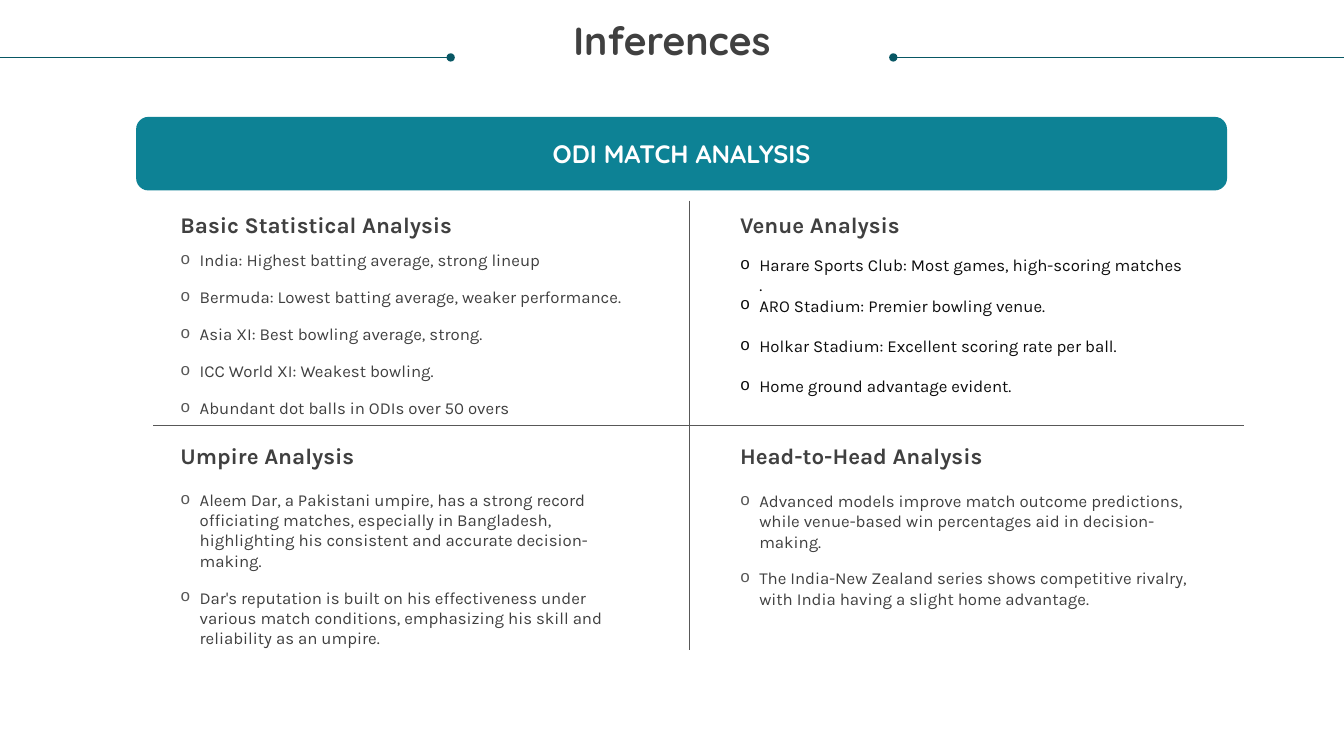
from lxml import etree
from pptx import Presentation
from pptx.dml.color import RGBColor
from pptx.enum.shapes import MSO_CONNECTOR, MSO_SHAPE
from pptx.enum.text import MSO_ANCHOR, MSO_AUTO_SIZE, PP_ALIGN
from pptx.oxml.ns import qn
from pptx.util import Inches, Pt

STRAIGHT = MSO_CONNECTOR.STRAIGHT
ROUNDED = MSO_SHAPE.ROUNDED_RECTANGLE
CENTER, LEFT = PP_ALIGN.CENTER, PP_ALIGN.LEFT
MIDDLE, TOP = MSO_ANCHOR.MIDDLE, MSO_ANCHOR.TOP
FIT_SHAPE = MSO_AUTO_SIZE.SHAPE_TO_FIT_TEXT

THEME = {
    "title": {"name": "Quicksand", "size": Pt(28), "bold": True, "color": "404040"},
    "banner": {"name": "Quicksand", "size": Pt(18), "bold": True, "color": "FFFFFF"},
    "heading": {"name": "Karla", "size": Pt(16), "bold": True, "color": "404040"},
    "body": {"name": "Karla", "size": Pt(12), "bold": False, "color": "404040"},
    "venue": {"name": "Karla", "size": Pt(12), "bold": False, "color": "0D0D0D"},
    "banner_fill": "0D8295",
    "title_rule": "085764",
    "divider": "585858",
    "bullet": "585858",
}

# Grid in inches
SLIDE_WIDTH, SLIDE_HEIGHT = 13.33, 7.5
COLUMNS = (1.79, 7.34)
HEADING_ROWS = (2.09, 4.39)
COLUMN_WIDTH, HEADING_HEIGHT = 4.55, 0.27
RULE_TOP, RULE_LENGTH = 0.57, 4.47
BULLET_INDENT = Inches(0.19)

presentation = Presentation()
presentation.slide_width = Inches(SLIDE_WIDTH)
presentation.slide_height = Inches(SLIDE_HEIGHT)
slide = presentation.slides.add_slide(presentation.slide_layouts[6])


def write_text(shape, entries, style, align=LEFT, anchor=TOP):
    """Fill a shape with (text, space before in points) paragraphs."""
    frame = shape.text_frame
    frame_format = {"word_wrap": True, "vertical_anchor": anchor, "margin_left": 0,
                    "margin_right": 0, "margin_top": 0, "margin_bottom": 0}
    for name, value in frame_format.items():
        setattr(frame, name, value)
    for index, (text, space_before) in enumerate(entries):
        paragraph = frame.paragraphs[0] if index == 0 else frame.add_paragraph()
        paragraph.text = text
        paragraph.alignment = align
        paragraph.space_before = Pt(space_before)
        for run in paragraph.runs:
            for name, value in THEME[style].items():
                if name == "color":
                    run.font.color.rgb = RGBColor.from_string(value)
                else:
                    setattr(run.font, name, value)
    return frame


def add_rule(start, end, color, dot=False):
    """Draw a thin line, with a round dot at its end if asked."""
    points = [Inches(length) for length in (*start, *end)]
    connector = slide.shapes.add_connector(STRAIGHT, *points)
    connector.line.width = Pt(0.5)
    connector.line.color.rgb = RGBColor.from_string(THEME[color])
    if dot:
        outline = connector.line._get_or_add_ln()
        etree.SubElement(outline, qn("a:tailEnd"), type="oval")
    etree.SubElement(connector._element.spPr, qn("a:effectLst"))


# Title between two dotted rules
for edge, direction in ((0, 1), (SLIDE_WIDTH, -1)):
    dot_end = edge + direction * RULE_LENGTH
    add_rule((edge, RULE_TOP), (dot_end, RULE_TOP), "title_rule", dot=True)
title = slide.shapes.add_textbox(Inches(0.25), Inches(0.21), Inches(12.83), Inches(0.73))
title_frame = write_text(title, [("Inferences", 0)], "title", CENTER)
title_frame.paragraphs[0].line_spacing = 0.9

# Banner
banner = slide.shapes.add_shape(ROUNDED, Inches(1.35), Inches(1.16), Inches(10.82), Inches(0.73))
banner.shadow.inherit = False
banner.fill.solid()
banner.fill.fore_color.rgb = RGBColor.from_string(THEME["banner_fill"])
banner.line.fill.background()
write_text(banner, [("ODI MATCH ANALYSIS", 0)], "banner", CENTER, MIDDLE)

# Cross dividing the four quadrants
add_rule((1.52, 4.22), (12.34, 4.22), "divider")
add_rule((6.84, 1.99), (6.84, 6.45), "divider")

# Quadrants: column, row, heading, list top, list height, style, (text, space before)
QUADRANTS = [
    (0, 0, "Basic Statistical Analysis", 2.48, 1.68, "body", [
        ("India: Highest batting average, strong lineup", 12),
        ("Bermuda: Lowest batting average, weaker performance.", 12),
        ("Asia XI: Best bowling average, strong.", 12),
        ("ICC World XI: Weakest bowling.", 12),
        ("Abundant dot balls in ODIs over 50 overs", 12),
    ]),
    (1, 0, "Venue Analysis", 2.53, 1.41, "venue", [
        ("Harare Sports Club: Most games, high-scoring matches\v.", 15),
        ("ARO Stadium: Premier bowling venue.", 0),
        ("Holkar Stadium: Excellent scoring rate per ball.", 14.4),
        ("Home ground advantage evident.", 14.4),
    ]),
    (0, 1, "Umpire Analysis", 4.86, 1.38, "body", [
        ("Aleem Dar, a Pakistani umpire, has a strong record officiating matches, "
         "especially in Bangladesh, highlighting his consistent and accurate "
         "decision-making.", 12),
        ("Dar's reputation is built on his effectiveness under various match "
         "conditions, emphasizing his skill and reliability as an umpire.", 12),
    ]),
    (1, 1, "Head-to-Head Analysis", 4.87, 0.98, "body", [
        ("Advanced models improve match outcome predictions, while venue-based win "
         "percentages aid in decision-making.", 12),
        ("The India-New Zealand series shows competitive rivalry, with India having "
         "a slight home advantage.", 12),
    ]),
]

for column, row, heading, list_top, list_height, style, entries in QUADRANTS:
    left, width = Inches(COLUMNS[column]), Inches(COLUMN_WIDTH)
    heading_box = slide.shapes.add_textbox(
        left, Inches(HEADING_ROWS[row]), width, Inches(HEADING_HEIGHT))
    write_text(heading_box, [(heading, 0)], "heading").auto_size = FIT_SHAPE

    list_box = slide.shapes.add_textbox(left, Inches(list_top), width, Inches(list_height))
    list_frame = write_text(list_box, entries, style)
    list_frame.auto_size = FIT_SHAPE
    bullet_color = THEME["venue"]["color"] if style == "venue" else THEME["bullet"]
    for paragraph in list_frame.paragraphs:
        properties = paragraph._p.get_or_add_pPr()
        properties.set("marL", str(BULLET_INDENT))
        properties.set("indent", str(-BULLET_INDENT))
        color = etree.SubElement(properties, qn("a:buClr"))
        etree.SubElement(color, qn("a:srgbClr"), val=bullet_color)
        etree.SubElement(properties, qn("a:buFont"), typeface="Courier New")
        etree.SubElement(properties, qn("a:buChar"), char="o")

presentation.save("out.pptx")
